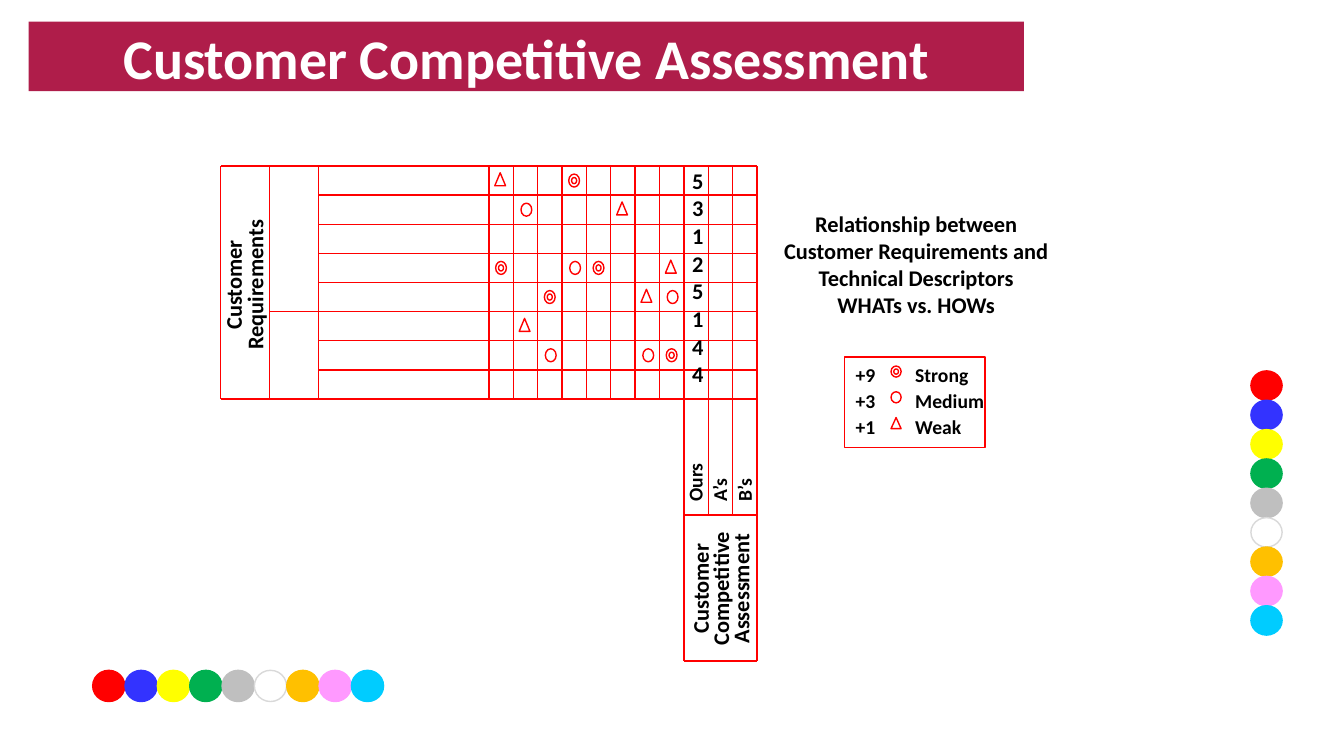
import dataclasses

import pptx
import pptx.dml.color
import pptx.enum.shapes
import pptx.enum.text
import pptx.oxml
import pptx.oxml.ns
import pptx.util

Pt = pptx.util.Pt
SHAPE = pptx.enum.shapes.MSO_SHAPE
ALIGN = pptx.enum.text.PP_ALIGN


@dataclasses.dataclass(frozen=True)
class Theme:
    """Colours, font and type sizes of the slide."""
    font: str = "Calibri"
    title_size: int = 40
    body_size: int = 16
    label_size: int = 14
    banner: str = "AF1D4A"
    white: str = "FFFFFF"
    ink: str = "000000"
    grid: str = "FF0000"
    white_edge: str = "D9D9D9"
    dots: tuple = ("FF0000", "3333FF", "FFFF00", "00B050", "BFBFBF",
                   "FFFFFF", "FFC000", "FF99FF", "00CCFF")


@dataclasses.dataclass(frozen=True)
class Box:
    """A rectangle in points."""
    left: float
    top: float
    width: float
    height: float

    @property
    def right(self):
        """Return the right edge."""
        return self.left + self.width

    @property
    def bottom(self):
        """Return the bottom edge."""
        return self.top + self.height

    def lengths(self):
        """Return the four values as lengths."""
        return Pt(self.left), Pt(self.top), Pt(self.width), Pt(self.height)


THEME = Theme()
COLUMN = 17.41
ROW = 20.8
SCORES = (5, 3, 1, 2, 5, 1, 4, 4)
MARKS = {
    "strong": ((0, 3), (3, 0), (4, 3), (2, 4), (7, 6)),
    "medium": ((1, 1), (3, 3), (7, 4), (2, 6), (6, 6)),
    "weak": ((0, 0), (5, 1), (7, 3), (6, 4), (1, 5)),
}
MARK_SHIFTS = {"strong": (0, 0), "medium": (0.7, 0), "weak": (-0.6, -0.9)}
LEGEND = (("+9", "strong", "Strong"), ("+3", "medium", "Medium"), ("+1", "weak", "Weak"))


def rgb(value):
    """Turn a hex string into a colour."""
    return pptx.dml.color.RGBColor.from_string(value)


def format_text(text_frame, size, colour, align, spacing=None, before=0):
    """Format every paragraph and run of a text frame."""
    for index, paragraph in enumerate(text_frame.paragraphs):
        paragraph.alignment = align
        paragraph.line_spacing = spacing
        paragraph.space_before = Pt(before if index else 0)
        for run in paragraph.runs:
            run.font.name = THEME.font
            run.font.size = Pt(size)
            run.font.bold = True
            run.font.color.rgb = rgb(colour)


def add_text(slide, box, text, size, align=ALIGN.CENTER, spacing=None, before=0, rotation=0):
    """Add a wrapped text box."""
    shape = slide.shapes.add_textbox(*box.lengths())
    shape.rotation = rotation
    shape.text_frame.word_wrap = True
    shape.text_frame.text = text
    format_text(shape.text_frame, size, THEME.ink, align, spacing, before)


def add_line(slide, start_x, start_y, end_x, end_y):
    """Add one thin grid line."""
    line = slide.shapes.add_connector(
        pptx.enum.shapes.MSO_CONNECTOR.STRAIGHT,
        Pt(start_x), Pt(start_y), Pt(end_x), Pt(end_y))
    line.line.color.rgb = rgb(THEME.grid)
    line.line.width = Pt(1)
    properties = line._element.spPr
    properties.append(properties.makeelement(pptx.oxml.ns.qn("a:effectLst"), {}))


def add_outline(slide, kind, box, line=THEME.grid, fill=None):
    """Add a preset shape with a thin outline."""
    shape = slide.shapes.add_shape(kind, *box.lengths())
    shape.shadow.inherit = False
    shape.line.color.rgb = rgb(line)
    shape.line.width = Pt(1)
    if fill:
        shape.fill.solid()
        shape.fill.fore_color.rgb = rgb(fill)
    else:
        shape.fill.background()


def add_mark(slide, kind, center_x, center_y, width, height):
    """Add a relationship mark centred on a point."""
    outline = SHAPE.ISOSCELES_TRIANGLE if kind == "weak" else SHAPE.OVAL
    for scale in (1, 0.47) if kind == "strong" else (1,):
        add_outline(slide, outline, Box(
            center_x - width * scale / 2, center_y - height * scale / 2,
            width * scale, height * scale))


def add_title(slide, box):
    """Place the title on its coloured banner."""
    title = slide.shapes.title
    title.left, title.top, title.width, title.height = box.lengths()
    title.fill.solid()
    title.fill.fore_color.rgb = rgb(THEME.banner)
    frame = title.text_frame
    frame.text = "Customer Competitive Assessment"
    frame.margin_left = frame.margin_right = frame.margin_bottom = 0
    frame.margin_top = Pt(1)
    frame.vertical_anchor = pptx.enum.text.MSO_ANCHOR.MIDDLE
    frame.auto_size = pptx.enum.text.MSO_AUTO_SIZE.NONE
    format_text(frame, THEME.title_size, THEME.white, ALIGN.CENTER)


def add_dots(slide, box, step_x, step_y):
    """Repeat the palette dots from the first dot's box."""
    for index, colour in enumerate(THEME.dots):
        edge = THEME.white_edge if colour == THEME.white else colour
        dot = Box(box.left + index * step_x, box.top + index * step_y, box.width, box.height)
        add_outline(slide, SHAPE.FLOWCHART_CONNECTOR, dot, edge, colour)


def add_matrix(slide, box):
    """Draw the requirements grid with its marks and scores."""
    group_x, names_x = box.left + 34.9, box.left + 69.8
    cells_x = box.right - 11 * COLUMN
    for x in (box.left, group_x, names_x, *(cells_x + index * COLUMN for index in range(12))):
        add_line(slide, x, box.top, x, box.bottom)
    for index in range(len(SCORES) + 1):
        y = box.top + index * ROW
        start = {0: box.left, 5: group_x, 8: box.left}.get(index, names_x)
        add_line(slide, start, y, box.right, y)
    for kind, cells in MARKS.items():
        shift_x, shift_y = MARK_SHIFTS[kind]
        for column, row in cells:
            add_mark(slide, kind, cells_x + (column + 0.5) * COLUMN + shift_x,
                     box.top + (row + 0.5) * ROW + shift_y, 7.7, 9.3)
    add_text(slide, Box(box.left - 57.6, box.top + 65.7, 152, 38.2),
             "Customer Requirements", THEME.body_size, spacing=0.8, rotation=270)
    add_text(slide, Box(cells_x + 8 * COLUMN - 1.2, box.top - 1.2, 20.2, 169.2),
             "\n".join(map(str, SCORES)), THEME.body_size, spacing=0.92, before=2.1)


def add_assessment(slide, box):
    """Draw the competitor columns below the matrix."""
    divider = box.top + 83
    for index, bottom in enumerate((box.bottom, divider, divider, box.bottom)):
        x = box.left + index * COLUMN
        add_line(slide, x, box.top, x, bottom)
    for y in (divider, box.bottom):
        add_line(slide, box.left, y, box.right, y)
    add_text(slide, Box(box.left + 1.8, box.top + 26.8, 46.8, 60.5), "Ours\nA’s\nB’s",
             THEME.label_size, ALIGN.LEFT, 1.05, rotation=270)
    add_text(slide, Box(box.left - 26.3, box.top + 110.3, 108.7, 50.4),
             "Customer\nCompetitive\nAssessment", THEME.body_size, spacing=0.75, rotation=270)


def add_legend(slide, box):
    """Draw the framed key to the marks."""
    add_outline(slide, SHAPE.RECTANGLE, box)
    for index, (score, kind, label) in enumerate(LEGEND):
        top = box.top + 4.3 + index * 18.4
        add_text(slide, Box(box.left + 0.7, top, 31, 20.9), score,
                 THEME.label_size, ALIGN.LEFT, 0.8)
        add_mark(slide, kind, box.left + 36.7, top + 6.2, 7.2, 7.9)
        add_text(slide, Box(box.left + 43.2, top, 68.4, 20.9), label,
                 THEME.label_size, ALIGN.LEFT, 0.8)


def main():
    """Build the slide and save it."""
    presentation = pptx.Presentation()
    presentation.slide_width, presentation.slide_height = Pt(960), Pt(540)
    slide = presentation.slides.add_slide(presentation.slide_layouts[5])
    add_title(slide, Box(20.4, 15.4, 711, 49.7))
    add_dots(slide, Box(893.5, 264.9, 22.3, 21), 0, 20.97)
    add_dots(slide, Box(66.2, 478.8, 23, 22.3), 23.1, 0)
    add_matrix(slide, Box(157.7, 118.6, 383, 8 * ROW))
    add_assessment(slide, Box(488.5, 285, 3 * COLUMN, 187.3))
    add_text(slide, Box(544.3, 146.9, 220.3, 103.7),
             "Relationship between\nCustomer Requirements and\n"
             "Technical Descriptors\nWHATs vs. HOWs", THEME.body_size)
    add_legend(slide, Box(603.4, 254.9, 100.1, 64.8))
    presentation.save("out.pptx")


if __name__ == "__main__":
    main()
